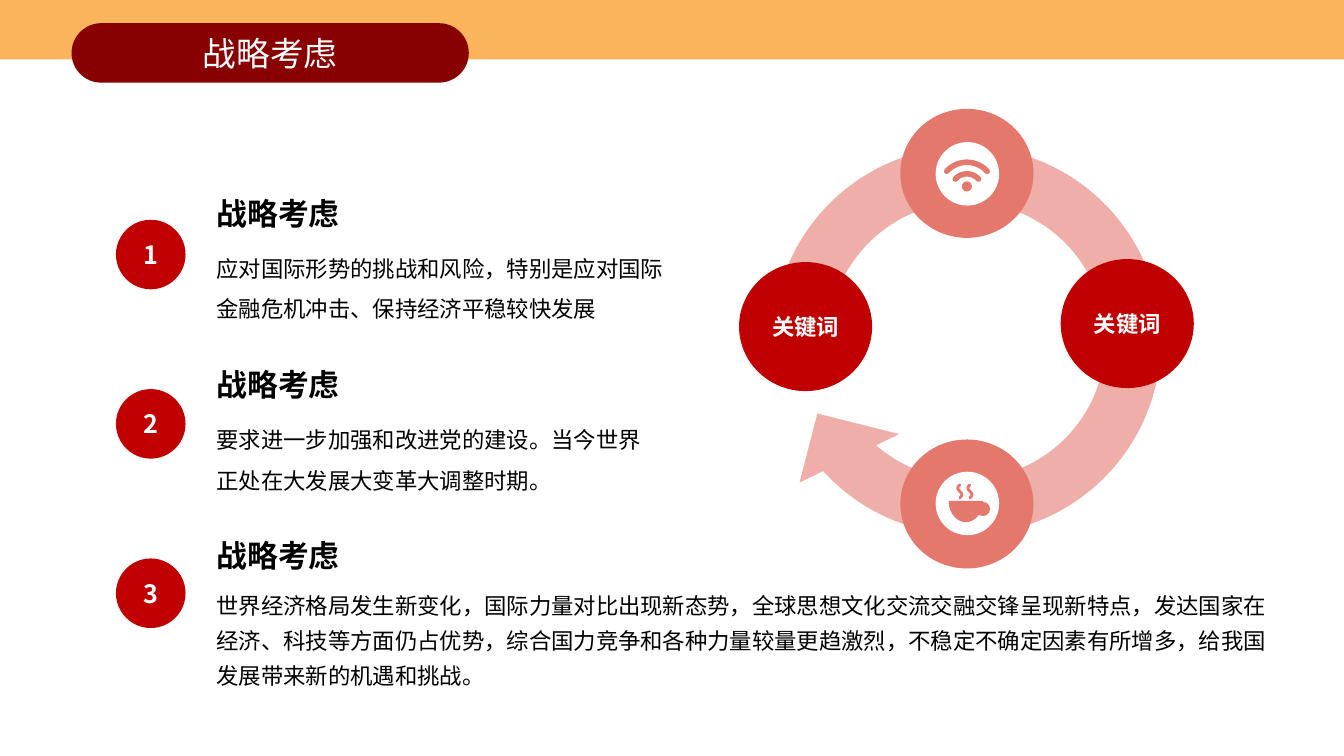
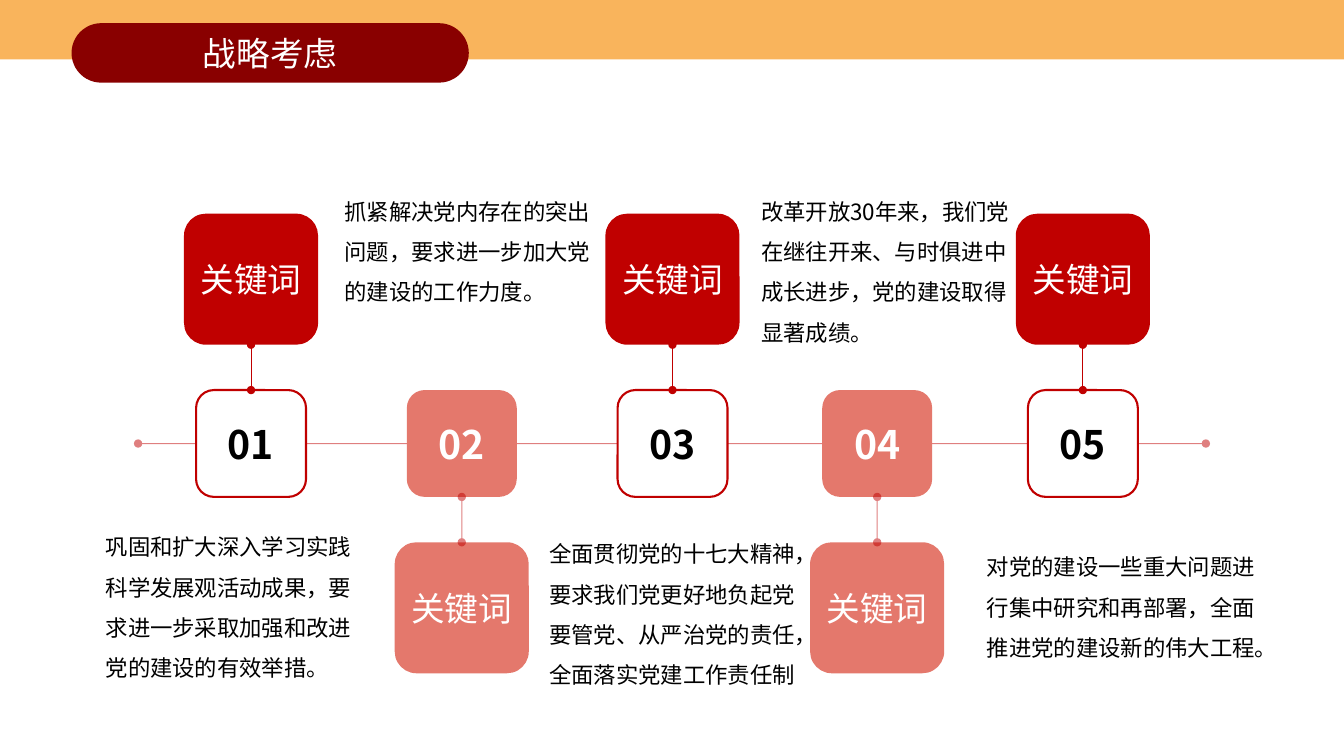
from math import cos, pi, radians, sin

from lxml import etree
from pptx import Presentation
from pptx.dml.color import RGBColor
from pptx.enum.shapes import MSO_CONNECTOR, MSO_SHAPE
from pptx.enum.text import MSO_ANCHOR, MSO_AUTO_SIZE, PP_ALIGN
from pptx.oxml.ns import qn
from pptx.util import Inches, Pt

OVAL, PILL, BAND = MSO_SHAPE.OVAL, MSO_SHAPE.ROUNDED_RECTANGLE, MSO_SHAPE.RECTANGLE
RING_ARROW = MSO_SHAPE.CIRCULAR_ARROW
STRAIGHT = MSO_CONNECTOR.STRAIGHT
LEFT, CENTER = PP_ALIGN.LEFT, PP_ALIGN.CENTER
TOP, MIDDLE = MSO_ANCHOR.TOP, MSO_ANCHOR.MIDDLE

FONT = "Noto Sans CJK SC"
COLORS = {
    "band": "F9B45C", "pill": "890000", "red": "C00000", "coral": "E4786C",
    "pink": "EFAEA7", "white": "FFFFFF", "black": "000000",
}
STYLES = {
    "title": {"size": 24, "color": "white", "align": CENTER},
    "card": {"size": 24, "color": "white", "align": CENTER},
    "keyword": {"size": 16, "color": "white", "align": CENTER, "bold": True},
    "number": {"size": 18, "color": "white", "align": CENTER, "bold": True},
    "dark badge": {"size": 28, "color": "black", "align": CENTER, "bold": True},
    "light badge": {"size": 28, "color": "white", "align": CENTER, "bold": True},
    "heading": {"size": 22, "anchor": TOP, "bold": True},
    "body": {"size": 16, "anchor": TOP, "spacing": 1.5},
    "wide body": {"size": 16, "anchor": TOP, "spacing": 1.3},
}
RGB = {name: RGBColor.from_string(value) for name, value in COLORS.items()}

deck = Presentation()
deck.slide_width, deck.slide_height = Inches(13.33), Inches(7.5)
CELL = deck.slide_height / 75  # square grid: 75 rows, 133.3 columns


def cells(*counts):
    return [round(count * CELL) for count in counts]


def place(page, preset, area, fill=None, text=None, style=None):
    """Add a filled shape, or a text box when preset is None, or fill the title."""
    if preset == "title":
        box = page.shapes.title
        box.left, box.top, box.width, box.height = cells(*area)
    elif preset is None:
        box = page.shapes.add_textbox(*cells(*area))
    else:
        box = page.shapes.add_shape(preset, *cells(*area))
        box.shadow.inherit = False
        box.line.fill.background()
        box.fill.solid()
        box.fill.fore_color.rgb = RGB[fill]
    if text:
        look = STYLES[style]
        frame = box.text_frame
        frame.word_wrap = True
        frame.auto_size = MSO_AUTO_SIZE.NONE
        frame.vertical_anchor = look.get("anchor", MIDDLE)
        para = frame.paragraphs[0]
        para.alignment = look.get("align", LEFT)
        para.line_spacing = look.get("spacing", 1.0)
        span = para.add_run()
        span.text = text
        values = {"name": FONT, "size": Pt(look["size"]), "bold": look.get("bold", False)}
        for name, value in values.items():
            setattr(span.font, name, value)
        span.font.color.rgb = RGB[look.get("color", "black")]
        etree.SubElement(span.font._element, qn("a:ea"), typeface=FONT)
    return box


# Shared header: band and pill belong to the layout, the title to each slide
layout = deck.slide_layouts[5]
HEADER = (7.1, 2.3, 39.4, 5.9)
pages = [deck.slides.add_slide(layout) for _ in range(2)]
cycle, timeline = pages
band = place(cycle, BAND, (0, 0, 133.3, 5.9), "band")
pill = place(cycle, PILL, HEADER, "pill")
pill.adjustments[0] = 0.5
for shape_id, box in enumerate((band, pill), start=20):
    box.element.nvSpPr.cNvPr.set("id", str(shape_id))
    layout.shapes.element.append(box.element)
for page in pages:
    place(page, "title", HEADER, text="战略考虑", style="title")

# Slide 1: cycle of four discs on a ring arrow
ring = place(cycle, RING_ARROW, (73.9, 11.8, 44, 44), "pink")
for index, value in enumerate((0.125, 11.423, 204.577, 12.493, 0.125)):
    ring.adjustments[index] = value
ring.rotation = 334
for flip in ("flipH", "flipV"):
    ring.element.spPr.xfrm.set(flip, "1")

for left, top, fill, keyword in (
    (89.3, 10.8, "coral", None),
    (73.3, 26, "red", "关键词"),
    (105.2, 25.7, "red", "关键词"),
    (89.3, 43.6, "coral", None),
):
    place(cycle, OVAL, (left, top, 13.2, 12.8), fill, keyword, "keyword")

for area, fill in (
    ((92.8, 14.1, 6.3, 6.3), "white"),   # wireless disc
    ((95.4, 18, 1, 1), "coral"),         # wireless dot
    ((92.8, 46.8, 6.3, 6.3), "white"),   # cup disc
    ((96.8, 49.8, 1.4, 1.4), "coral"),   # cup handle
):
    place(cycle, OVAL, area, fill)

STEPS = 24
waves = [
    [(95.9 + radius * sin(radians(angle)), 18.8 - radius * cos(radians(angle)))
     for angle in range(-48, 49, 4)]
    for radius in (1.55, 2.7)
]
steam = [
    [(x - 0.2 * sin(2 * pi * step / STEPS), 48.1 + 1.3 * step / STEPS)
     for step in range(STEPS + 1)]
    for x in (95.2, 96.2)
]
cup = [(95.8 + 1.7 * cos(pi * step / STEPS), 49.7 + 2.1 * sin(pi * step / STEPS))
       for step in range(STEPS + 1)]
icon_parts = [(points, 4) for points in waves] + [(points, 2) for points in steam] + [(cup, 0)]
for points, width in icon_parts:
    corners = [cells(*point) for point in points]
    builder = cycle.shapes.build_freeform(*corners[0])
    builder.add_line_segments(corners[1:], close=not width)
    part = builder.convert_to_shape()
    part.shadow.inherit = False
    if width:
        part.fill.background()
        part.line.color.rgb = RGB["coral"]
        part.line.width = Pt(width)
        part.line._get_or_add_ln().set("cap", "rnd")
    else:
        part.fill.solid()
        part.fill.fore_color.rgb = RGB["coral"]
        part.line.fill.background()

points = (
    ("应对国际形势的挑战和风险，特别是应对国际金融危机冲击、保持经济平稳较快发展",
     46.5, 8.6, "body"),
    ("要求进一步加强和改进党的建设。当今世界正处在大发展大变革大调整时期。",
     45.5, 8.6, "body"),
    ("世界经济格局发生新变化，国际力量对比出现新态势，全球思想文化交流交融交锋呈现新特点，"
     "发达国家在经济、科技等方面仍占优势，综合国力竞争和各种力量较量更趋激烈，"
     "不稳定不确定因素有所增多，给我国发展带来新的机遇和挑战。",
     106.3, 11.5, "wide body"),
)
for row, (text, width, height, style) in enumerate(points):
    top = 18.8 + 17 * row
    place(cycle, None, (20.5, top, 20.9, 4.7), text="战略考虑", style="heading")
    place(cycle, None, (20.5, top + 4.7, width, height), text=text, style=style)
    place(cycle, OVAL, (11.5, 21.8 + 16.8 * row, 6.9, 6.9), "red", str(row + 1), "number")

# Slide 2: timeline of five steps, cards alternately above and below
centers = (24.9, 45.8, 66.7, 87, 107.4)
BADGE_TOP, BADGE_WIDTH, BADGE_HEIGHT = 38.7, 10.9, 10.6
CARD_WIDTH, CARD_HEIGHT, STEM = 13.3, 13, 4.5
BADGE_BOTTOM = BADGE_TOP + BADGE_HEIGHT
axis = [((13.7, 44, 119.6, 44), True)]
stems = [
    ((x, BADGE_BOTTOM + STEM, x, BADGE_BOTTOM), True) if index % 2
    else ((x, BADGE_TOP, x, BADGE_TOP - STEM), False)
    for index, x in enumerate(centers)
]


def add_lines(lines):
    """Draw red lines with a dot at each end, half transparent where faded."""
    for ends, faded in lines:
        line = timeline.shapes.add_connector(STRAIGHT, *cells(*ends))
        line.line.color.rgb = RGB["red"]
        line.line.width = Pt(0.75)
        ln = line.line._get_or_add_ln()
        if faded:
            etree.SubElement(ln.find(".//" + qn("a:srgbClr")), qn("a:alpha"), val="50000")
        for end in ("a:headEnd", "a:tailEnd"):
            etree.SubElement(ln, qn(end), type="oval")
        etree.SubElement(line.element.spPr, qn("a:effectLst"))


add_lines(axis)
for index, center in enumerate(centers):
    below = index % 2 == 1
    badge = place(
        timeline, PILL,
        (center - BADGE_WIDTH / 2, BADGE_TOP, BADGE_WIDTH, BADGE_HEIGHT),
        "coral" if below else "white", f"{index + 1:02}",
        "light badge" if below else "dark badge",
    )
    if not below:
        badge.line.color.rgb = RGB["red"]
        badge.line.width = Pt(1.5)
    card_top = BADGE_BOTTOM + STEM if below else BADGE_TOP - STEM - CARD_HEIGHT
    place(
        timeline, PILL, (center - CARD_WIDTH / 2, card_top, CARD_WIDTH, CARD_HEIGHT),
        "coral" if below else "red", "关键词", "card",
    )
add_lines(stems)

for left, top, width, height, text in (
    (9.5, 51.1, 27.2, 17.2, "巩固和扩大深入学习实践科学发展观活动成果，要求进一步采取加强和改进党的建设的有效举措。"),
    (33.2, 17.8, 27.2, 13.1, "抓紧解决党内存在的突出问题，要求进一步加大党的建设的工作力度。"),
    (74.5, 17.8, 27.2, 17.2, "改革开放30年来，我们党在继往开来、与时俱进中成长进步，党的建设取得显著成绩。"),
    (53.5, 51.8, 27.2, 17.2, "全面贯彻党的十七大精神，要求我们党更好地负起党要管党、从严治党的责任，全面落实党建工作责任制"),
    (96.9, 53.1, 30.7, 13.1, "对党的建设一些重大问题进行集中研究和再部署，全面推进党的建设新的伟大工程。"),
):
    place(timeline, None, (left, top, width, height), text=text, style="body")

deck.save("out.pptx")
